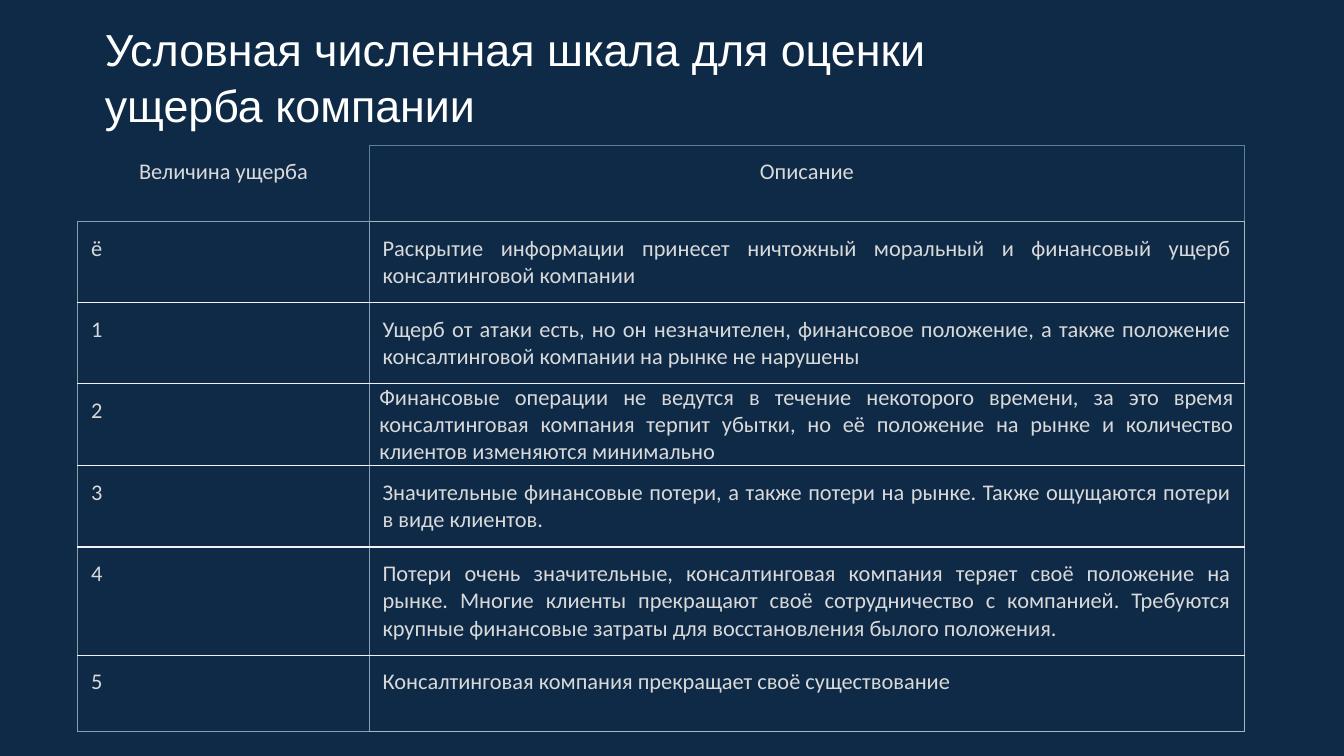
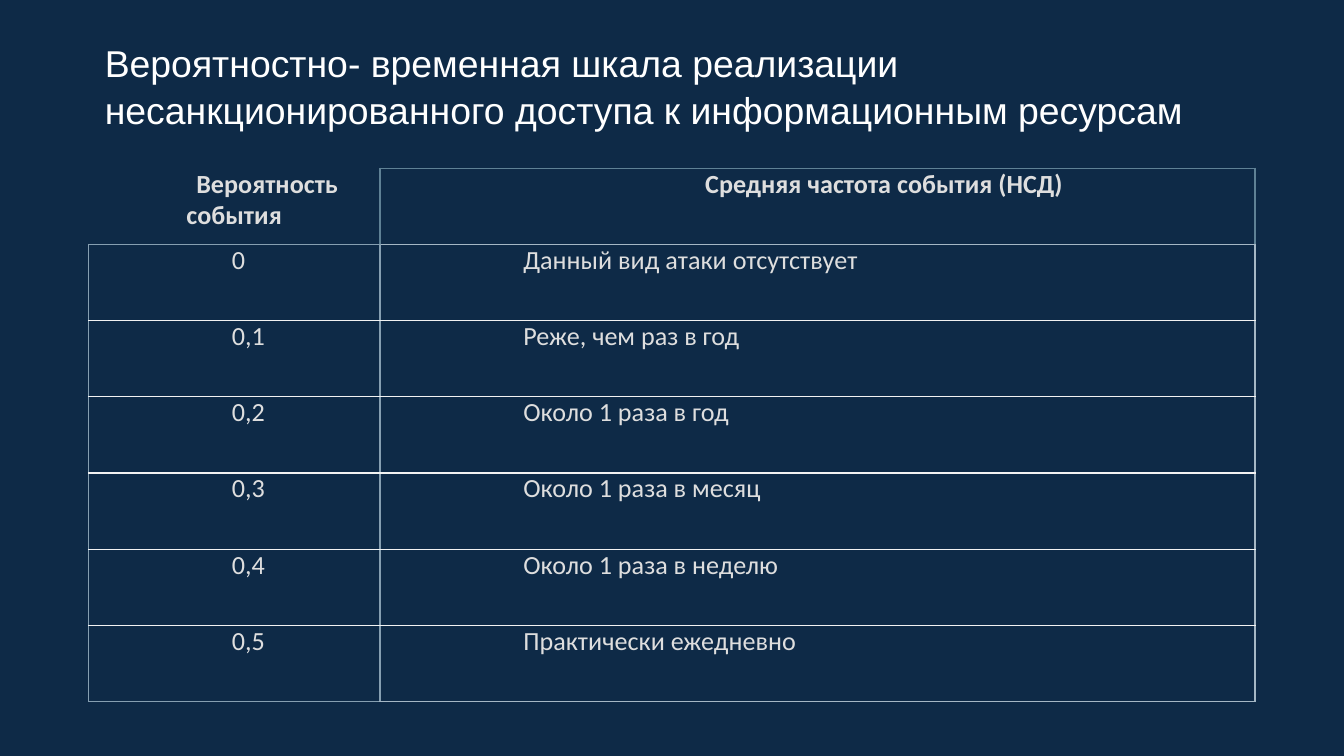
from dataclasses import dataclass
from typing import Optional

from lxml.etree import SubElement
from pptx import Presentation
from pptx.dml.color import RGBColor
from pptx.enum.text import MSO_ANCHOR, MSO_AUTO_SIZE, PP_ALIGN
from pptx.oxml.ns import qn
from pptx.util import Cm, Pt

NAVY = RGBColor(0x0E, 0x2A, 0x47)
WHITE = RGBColor(0xFF, 0xFF, 0xFF)
LIGHT_GREY = RGBColor(0xD9, 0xD9, 0xD9)
PALE_GREY = RGBColor(0xDE, 0xDE, 0xDE)
HEADER_LINE = RGBColor(0x5F, 0x81, 0x95)
ROW_LINE = RGBColor(0xF2, 0xF2, 0xF2)
COLUMN_LINES = (RGBColor(0x86, 0x9F, 0xB1), RGBColor(0xA5, 0xB7, 0xC5))

COLUMN_WIDTHS = (Cm(5.51), Cm(16.54))
ROW_HEIGHT = Cm(1.44)
BORDER_WIDTH = Pt(0.75)
TITLE_INSET = Cm(0.25)
TITLE_LEFT, TITLE_TOP, TITLE_HEIGHT = Cm(1.73), Cm(1.14), Cm(1.6)


@dataclass(frozen=True)
class CellStyle:
    side: int
    edge: int
    margin: int = 0
    indent: int = 0
    space_after: int = 0


ROOMY = CellStyle(side=Cm(0.25), edge=Cm(0.25))
TIGHT = CellStyle(side=Cm(0.19), edge=Cm(0), space_after=8)
FIRST_LINE = CellStyle(side=Cm(0.19), edge=Cm(0), indent=Cm(1.25), space_after=8)
INDENTED = CellStyle(side=Cm(0.19), edge=Cm(0), margin=Cm(1.27), indent=Cm(1.25), space_after=8)


@dataclass(frozen=True)
class Scale:
    title: str
    title_size: int
    title_width: int
    left: int
    top: int
    text_size: int
    text_color: RGBColor
    bold_header: bool
    style: CellStyle
    rows: list[tuple[str, str]]
    special_styles: dict[tuple[int, int], CellStyle]


DAMAGE = Scale(
    title="Условная численная шкала для оценки ущерба компании",
    title_size=24,
    title_width=Cm(18.9),
    left=Cm(1.47),
    top=Cm(2.75),
    text_size=12,
    text_color=LIGHT_GREY,
    bold_header=False,
    style=ROOMY,
    rows=[
        ("Величина ущерба", "Описание"),
        ("ё", "Раскрытие информации принесет ничтожный моральный и финансовый ущерб "
              "консалтинговой компании"),
        ("1", "Ущерб от атаки есть, но он незначителен, финансовое положение, а также "
              "положение консалтинговой компании на рынке не нарушены"),
        ("2", "Финансовые операции не ведутся в течение некоторого времени, за это время "
              "консалтинговая компания терпит убытки, но её положение на рынке и количество "
              "клиентов изменяются минимально"),
        ("3", "Значительные финансовые потери, а также потери на рынке. Также ощущаются "
              "потери в виде клиентов."),
        ("4", "Потери очень значительные, консалтинговая компания теряет своё положение на "
              "рынке. Многие клиенты прекращают своё сотрудничество с компанией. Требуются "
              "крупные финансовые затраты для восстановления былого положения."),
        ("5", "Консалтинговая компания прекращает своё существование"),
    ],
    special_styles={(3, 1): TIGHT},
)

PROBABILITY = Scale(
    title="Вероятностно- временная шкала реализации несанкционированного доступа "
          "к информационным ресурсам",
    title_size=20,
    title_width=Cm(22.05),
    left=Cm(1.67),
    top=Cm(3.18),
    text_size=14,
    text_color=PALE_GREY,
    bold_header=True,
    style=INDENTED,
    rows=[
        ("Вероятность события", "Средняя частота события (НСД)"),
        ("0", "Данный вид атаки отсутствует"),
        ("0,1", "Реже, чем раз в год"),
        ("0,2", "Около 1 раза в год"),
        ("0,3", "Около 1 раза в месяц"),
        ("0,4", "Около 1 раза в неделю"),
        ("0,5", "Практически ежедневно"),
    ],
    special_styles={(0, 0): FIRST_LINE},
)


def write(frame, text: str, *, font: str, size: int, color: RGBColor, bold: bool = False,
          align: PP_ALIGN = PP_ALIGN.LEFT, line_spacing: float = 1.0, space_after: int = 0,
          margin: int = 0, indent: int = 0) -> None:
    para = frame.paragraphs[0]
    para.alignment = align
    para.line_spacing = line_spacing
    para.space_after = Pt(space_after)
    properties = para._p.get_or_add_pPr()
    properties.set("marL", str(margin))
    properties.set("indent", str(indent))
    span = para.add_run()
    span.text = text
    span.font.name = font
    span.font.size = Pt(size)
    span.font.bold = bold
    span.font.color.rgb = color


def draw_title(page, scale: Scale) -> None:
    box = page.shapes.title
    box.left, box.top = TITLE_LEFT, TITLE_TOP
    box.width, box.height = scale.title_width, TITLE_HEIGHT
    frame = box.text_frame
    frame.word_wrap = True
    frame.auto_size = MSO_AUTO_SIZE.NONE
    frame.vertical_anchor = MSO_ANCHOR.BOTTOM
    frame.margin_left = frame.margin_right = TITLE_INSET
    frame.margin_top = frame.margin_bottom = TITLE_INSET
    write(frame, scale.title, font="Arial", size=scale.title_size, color=WHITE, line_spacing=1.05)


def border_colors(row: int, column: int, last_row: int) -> dict[str, Optional[RGBColor]]:
    line = COLUMN_LINES[column]
    if row == 0:
        outer = HEADER_LINE if column else None
        return {"L": outer, "R": HEADER_LINE, "T": outer, "B": line}
    return {
        "L": COLUMN_LINES[0],
        "R": line,
        "T": line if row == 1 else ROW_LINE,
        "B": line if row == last_row else ROW_LINE,
    }


def draw_borders(cell, colors: dict[str, Optional[RGBColor]]) -> None:
    properties = cell._tc.get_or_add_tcPr()
    for side, color in colors.items():
        line = SubElement(properties, qn(f"a:ln{side}"), w=str(BORDER_WIDTH))
        if color is None:
            SubElement(line, qn("a:noFill"))
        else:
            fill = SubElement(line, qn("a:solidFill"))
            SubElement(fill, qn("a:srgbClr"), val=str(color))


def draw_table(page, scale: Scale) -> None:
    count = len(scale.rows)
    table = page.shapes.add_table(count, len(COLUMN_WIDTHS), scale.left, scale.top,
                                  sum(COLUMN_WIDTHS), ROW_HEIGHT * count).table
    table.first_row = table.horz_banding = False
    for column, width in zip(table.columns, COLUMN_WIDTHS):
        column.width = width
    for row, texts in enumerate(scale.rows):
        table.rows[row].height = ROW_HEIGHT
        for column, text in enumerate(texts):
            cell = table.cell(row, column)
            style = scale.special_styles.get((row, column), scale.style)
            cell.margin_left = cell.margin_right = style.side
            cell.margin_top = cell.margin_bottom = style.edge
            draw_borders(cell, border_colors(row, column, count - 1))
            cell.fill.background()
            header = row == 0
            write(cell.text_frame, text, font="Calibri", size=scale.text_size,
                  color=scale.text_color, bold=header and scale.bold_header,
                  align=PP_ALIGN.CENTER if header else PP_ALIGN.JUSTIFY,
                  space_after=style.space_after if header or column else 0,
                  margin=style.margin, indent=style.indent)


def main() -> None:
    deck = Presentation()
    deck.slide_width, deck.slide_height = Cm(25.4), Cm(14.29)
    background = deck.slide_master.background.fill
    background.solid()
    background.fore_color.rgb = NAVY
    title_only = deck.slide_layouts.get_by_name("Title Only")
    for scale in (DAMAGE, PROBABILITY):
        page = deck.slides.add_slide(title_only)
        draw_title(page, scale)
        draw_table(page, scale)
    deck.save("out.pptx")


if __name__ == "__main__":
    main()
